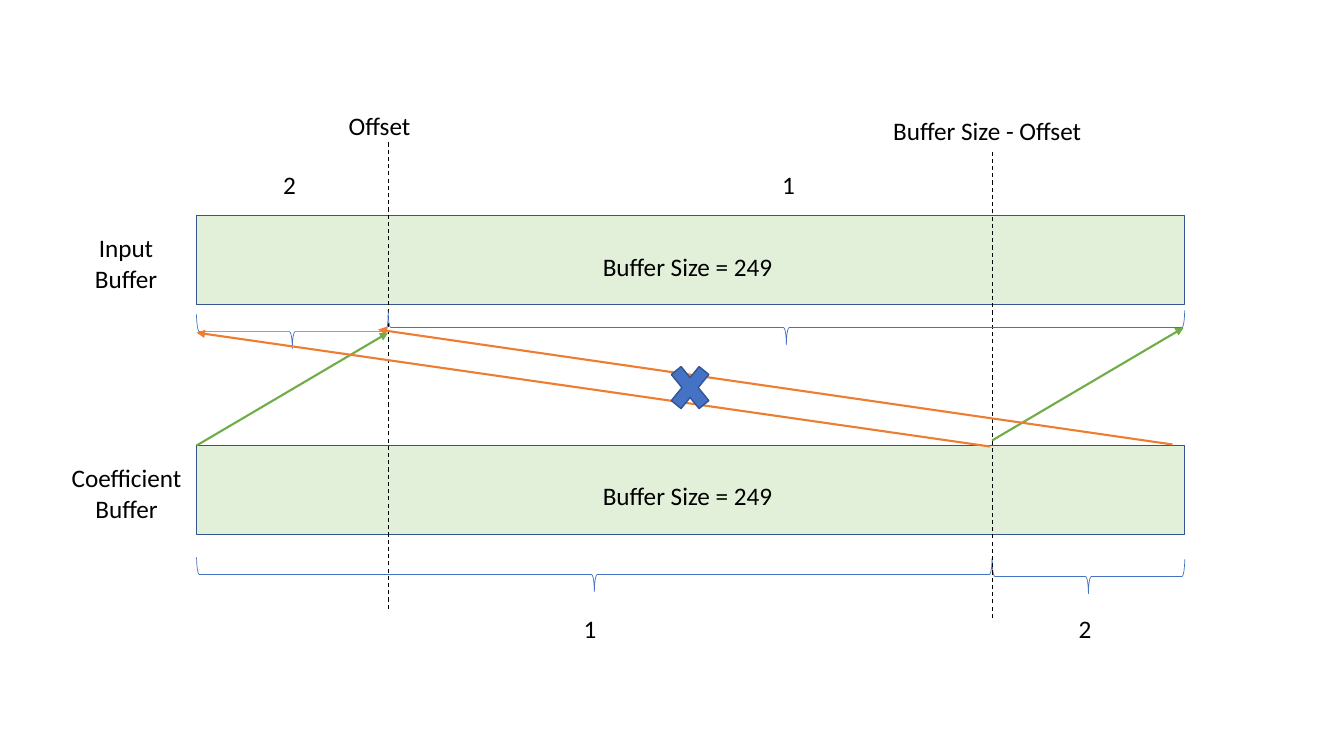
from dataclasses import dataclass

from pptx import Presentation
from pptx.dml.color import RGBColor
from pptx.enum.dml import MSO_LINE_DASH_STYLE as Dash
from pptx.enum.shapes import MSO_CONNECTOR as Connector, MSO_SHAPE as Shape
from pptx.enum.text import MSO_AUTO_SIZE as AutoSize, PP_ALIGN as Align
from pptx.oxml.ns import qn
from pptx.util import Inches, Pt
from lxml.etree import SubElement


@dataclass(frozen=True)
class Theme:
    font: str = "Calibri"
    size: int = 18
    text: str = "000000"
    buffer: str = "E2F0D9"
    outline: str = "325491"
    accent: str = "4472C4"
    valid: str = "70AD47"
    crossed: str = "ED7D31"


def write(frame, lines, theme, align=Align.LEFT):
    """Fill a text frame with one paragraph per line."""
    for index, line in enumerate(lines):
        para = frame.add_paragraph() if index else frame.paragraphs[0]
        para.alignment = align
        span = para.add_run()
        span.text = line
        span.font.name = theme.font
        span.font.size = Pt(theme.size)
        span.font.color.rgb = RGBColor.from_string(theme.text)


class Diagram:
    def __init__(self, page, theme):
        self.page = page
        self.theme = theme

    def shape(self, kind, left, top, width, height, fill=None, line=None, weight=1):
        box = self.page.shapes.add_shape(
            kind, Inches(left), Inches(top), Inches(width), Inches(height))
        box.shadow.inherit = False
        if fill:
            box.fill.solid()
            box.fill.fore_color.rgb = RGBColor.from_string(fill)
        else:
            box.fill.background()
        box.line.color.rgb = RGBColor.from_string(line or self.theme.outline)
        box.line.width = Pt(weight)
        return box

    def brace(self, start, end, top, depth=0.34):
        """Horizontal brace whose tip points down."""
        length = end - start
        box = self.shape(Shape.LEFT_BRACE, (start + end - depth) / 2,
                         top + (depth - length) / 2, depth, length,
                         line=self.theme.accent, weight=0.5)
        box.rotation = 270

    def line(self, start, end, color, weight, dashed=False, arrow=False):
        link = self.page.shapes.add_connector(
            Connector.STRAIGHT, *(Inches(value) for value in (*start, *end)))
        link.line.color.rgb = RGBColor.from_string(color)
        link.line.width = Pt(weight)
        if dashed:
            link.line.dash_style = Dash.DASH
        properties = link._element.spPr
        if arrow:
            SubElement(properties.find(qn("a:ln")), qn("a:tailEnd"), type="triangle")
        SubElement(properties, qn("a:effectLst"))

    def label(self, left, top, width, *lines, height=0.4, align=Align.LEFT):
        box = self.page.shapes.add_textbox(
            Inches(left), Inches(top), Inches(width), Inches(height))
        box.text_frame.word_wrap = True
        box.text_frame.auto_size = AutoSize.SHAPE_TO_FIT_TEXT
        write(box.text_frame, lines, self.theme, align=align)


deck = Presentation()
deck.slide_width, deck.slide_height = Inches(13.33), Inches(7.5)
theme = Theme()
diagram = Diagram(deck.slides.add_slide(deck.slide_layouts[6]), theme)

# Shared horizontal positions
LEFT, OFFSET, SPLIT, RIGHT = 1.95, 3.85, 9.84, 11.75
INPUT_TOP, COEFFICIENT_TOP = 2.14, 4.42

# Buffers and their names
for top in (INPUT_TOP, COEFFICIENT_TOP):
    diagram.shape(Shape.RECTANGLE, LEFT, top, RIGHT - LEFT, 0.88, fill=theme.buffer)
diagram.label(0.65, 2.26, 1.2, "Input Buffer", height=0.71, align=Align.CENTER)
diagram.label(0.45, 4.54, 1.61, "Coefficient", "Buffer", height=0.71, align=Align.CENTER)

# Offset markers and section braces
diagram.line((OFFSET, 6.04), (OFFSET, 1.41), theme.text, 0.75, dashed=True)
diagram.brace(LEFT, SPLIT, 5.53)
diagram.brace(SPLIT, RIGHT, 5.55)
diagram.line((SPLIT, 6.13), (SPLIT, 1.49), theme.text, 0.75, dashed=True)
diagram.brace(OFFSET, RIGHT, 3.08)
diagram.brace(LEFT, OFFSET, 3.12)

# Mapping arrows from coefficients to input
for start, end, color in (
    ((LEFT, COEFFICIENT_TOP), (OFFSET, 3.3), theme.valid),
    ((SPLIT, 4.37), (11.74, 3.25), theme.valid),
    ((9.82, 4.43), (LEFT, 3.3), theme.crossed),
    ((11.63, 4.41), (3.75, 3.27), theme.crossed),
):
    diagram.line(start, end, color, 1.5, arrow=True)
diagram.shape(Shape.MATH_MULTIPLY, 6.58, 3.52, 0.53, 0.65, fill=theme.accent)

# Section numbers, sizes and marker captions
for left, top, width, caption in (
    (5.69, 6.04, 0.39, "1"),
    (10.6, 6.04, 0.39, "2"),
    (7.66, 1.63, 0.39, "1"),
    (2.71, 1.63, 0.39, "2"),
    (5.88, COEFFICIENT_TOP + 0.3, 1.98, "Buffer Size = 249"),
    (5.88, INPUT_TOP + 0.3, 1.98, "Buffer Size = 249"),
    (3.36, 1.05, 0.98, "Offset"),
    (8.76, 1.09, 2.16, "Buffer Size - Offset"),
):
    diagram.label(left, top, width, caption)

deck.save("out.pptx")
